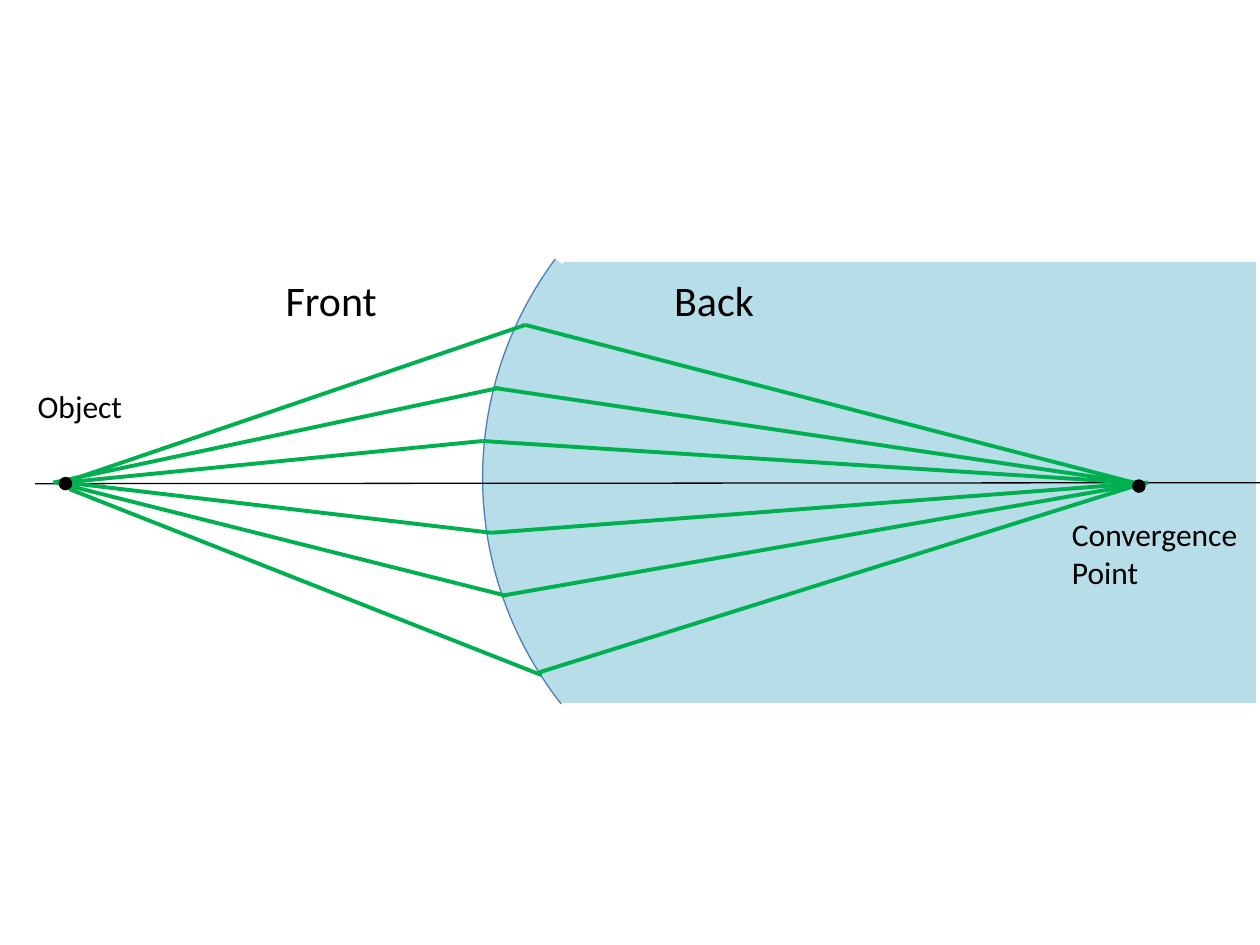
from lxml import etree
from pptx import Presentation
from pptx.dml.color import RGBColor
from pptx.enum.shapes import MSO_CONNECTOR, MSO_SHAPE
from pptx.enum.text import MSO_AUTO_SIZE
from pptx.oxml.ns import qn
from pptx.util import Cm, Pt

BLACK = RGBColor(0x00, 0x00, 0x00)
GLASS = RGBColor(0xB7, 0xDE, 0xE8)
EDGE = RGBColor(0x4B, 0x7E, 0xBC)
RAY = RGBColor(0x00, 0xB0, 0x50)

RAYS = [
    ((0.77, 4.53), (10.09, 1.35), (10.09, 1.35), (22.36, 4.53)),
    ((0.57, 4.53), (9.56, 2.62), (9.46, 2.62), (22.36, 4.53)),
    ((0.77, 4.53), (9.23, 3.69), (9.23, 3.69), (22.36, 4.53)),
    ((0.9, 4.66), (10.42, 8.41), (10.35, 8.36), (22.36, 4.6)),
    ((0.64, 4.53), (9.71, 6.81), (9.61, 6.81), (22.64, 4.53)),
    ((0.85, 4.53), (9.41, 5.54), (9.41, 5.54), (22.64, 4.53)),
]
DOTS = [(0.72, 4.45), (22.36, 4.5)]
LABELS = [
    ("Object", 0.01, 2.47, 2.24, 1.02, 18, False),
    ("Convergence Point", 20.86, 5.06, 4.04, 1.8, 18, True),
    ("Front", 5.01, 0.21, 2.36, 1.27, 24, False),
    ("Back", 12.84, 0.21, 2.13, 1.27, 24, False),
]


def add_shape(s, kind, x, y, w, h, fill, line=None, width=0):
    sp = s.shapes.add_shape(kind, Cm(x), Cm(y), Cm(w), Cm(h))
    sp.shadow.inherit = False
    sp.fill.solid()
    sp.fill.fore_color.rgb = fill
    if line is None:
        sp.line.fill.background()
    else:
        sp.line.color.rgb = line
        sp.line.width = Pt(width)
    return sp


def add_line(s, x, y, start, end, color, width):
    c = s.shapes.add_connector(
        MSO_CONNECTOR.STRAIGHT,
        Cm(x + start[0]), Cm(y + start[1]), Cm(x + end[0]), Cm(y + end[1]))
    c.line.color.rgb = color
    c.line.width = Pt(width)
    etree.SubElement(c._element.spPr, qn("a:effectLst"))


def add_lens(s, x, y):
    add_shape(s, MSO_SHAPE.RECTANGLE, x + 10.85, y + 0.08, 13.97, 8.89, GLASS)
    arc = add_shape(s, MSO_SHAPE.ARC, x + 9.23, y - 3.09, 15.44, 15.04,
                    GLASS, EDGE, 0.75)
    arc.adjustments[0] = 194.91
    arc.adjustments[1] = 21.97
    arc._element.spPr.xfrm.set("flipH", "1")


def add_rays(s, x, y):
    add_line(s, x, y, (0.21, 4.55), (24.9, 4.53), BLACK, 0.75)
    for source, entry, bend, focus in RAYS:
        add_line(s, x, y, source, entry, RAY, 2.25)
        add_line(s, x, y, focus, bend, RAY, 2.25)
    for dx, dy in DOTS:
        add_shape(s, MSO_SHAPE.OVAL, x + dx, y + dy, 0.2, 0.2, BLACK, BLACK, 2)


def add_labels(s, x, y):
    for text, dx, dy, w, h, size, wrap in LABELS:
        tb = s.shapes.add_textbox(Cm(x + dx), Cm(y + dy), Cm(w), Cm(h))
        tf = tb.text_frame
        tf.word_wrap = wrap
        tf.auto_size = MSO_AUTO_SIZE.SHAPE_TO_FIT_TEXT
        tf.text = text
        font = tf.paragraphs[0].runs[0].font
        font.name = "Calibri"
        font.size = Pt(size)
        font.color.rgb = BLACK


def main():
    prs = Presentation()
    prs.slide_width, prs.slide_height = Cm(25.4), Cm(19.05)
    s = prs.slides.add_slide(prs.slide_layouts[6])
    for add_part in (add_lens, add_rays, add_labels):
        add_part(s, 0.5, 5.2)
    prs.save("out.pptx")


if __name__ == "__main__":
    main()
